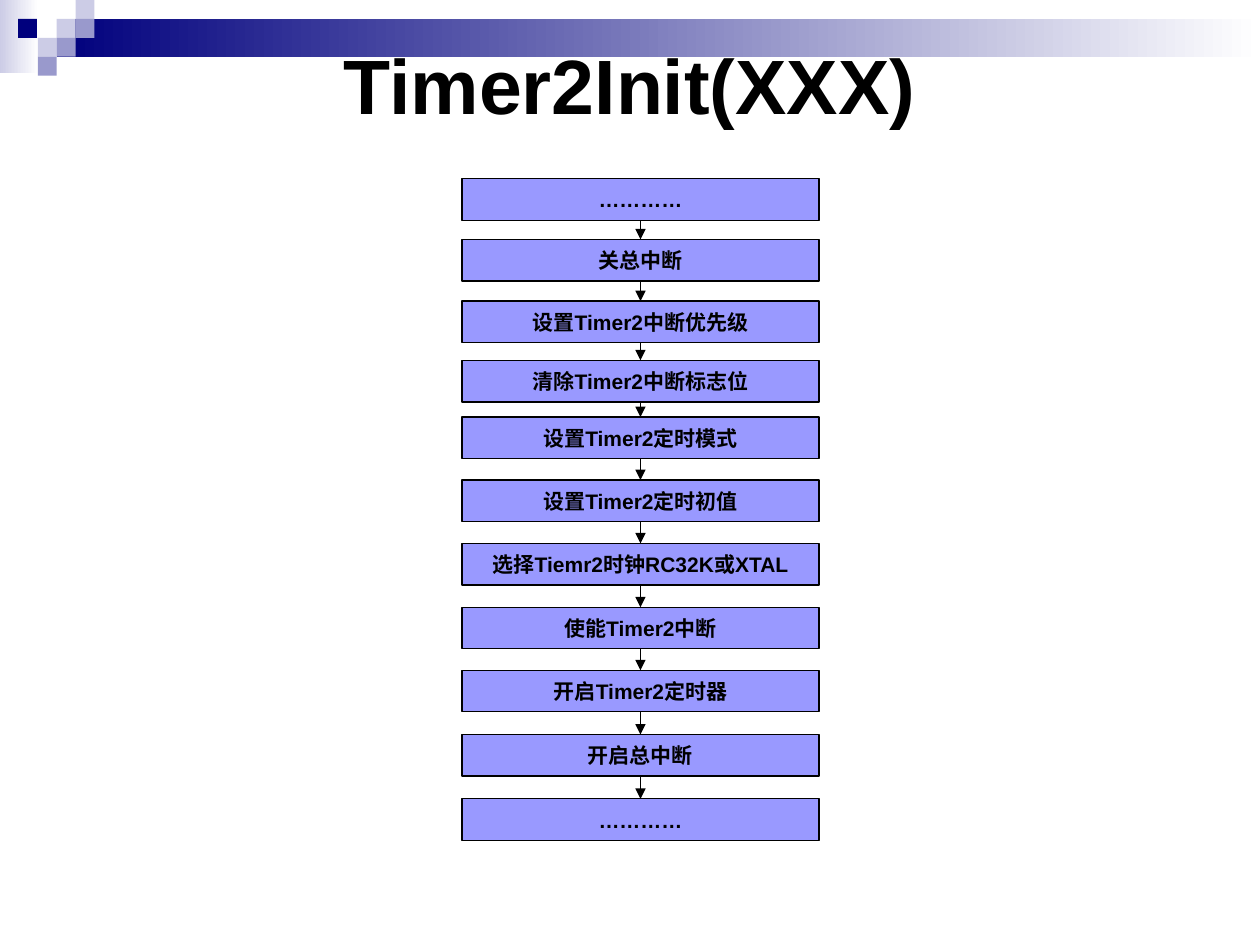
from itertools import pairwise

from lxml import etree
from pptx import Presentation
from pptx.dml.color import RGBColor
from pptx.enum.shapes import MSO_CONNECTOR, MSO_SHAPE
from pptx.enum.text import MSO_ANCHOR, PP_ALIGN
from pptx.oxml.ns import qn
from pptx.util import Pt

RECTANGLE = MSO_SHAPE.RECTANGLE
STRAIGHT = MSO_CONNECTOR.STRAIGHT
MIDDLE = MSO_ANCHOR.MIDDLE
CENTER = PP_ALIGN.CENTER

NAVY, PALE, LILAC = "00007D", "CCCCE6", "9999CC"
STEP_FILL, BLACK, WHITE = "9999FF", "000000", "FFFFFF"

BOX_LEFT, BOX_WIDTH, BOX_HEIGHT = 264, 204, 23.8
ARROW_X = 366
LINE_WIDTH = 0.75

STEPS = [
    (102.2, "…………"),
    (136.8, "关总中断"),
    (172.1, "设置Timer2中断优先级"),
    (205.9, "清除Timer2中断标志位"),
    (238.3, "设置Timer2定时模式"),
    (274.3, "设置Timer2定时初值"),
    (310.5, "选择Tiemr2时钟RC32K或XTAL"),
    (347, "使能Timer2中断"),
    (383, "开启Timer2定时器"),
    (419.7, "开启总中断"),
    (456.5, "…………"),
]

SQUARE = 10.8
SQUARES = [
    (32.4, 10.8, PALE),
    (43.2, 0, PALE),
    (43.2, 10.8, LILAC),
    (21.6, 21.6, PALE),
    (10.3, 10.8, NAVY),
    (32.4, 21.6, LILAC),
    (21.6, 32.4, LILAC),
]


def color(hex_string):
    return RGBColor.from_string(hex_string)


def add_rectangle(page, left, top, width, height):
    box = page.shapes.add_shape(RECTANGLE, Pt(left), Pt(top), Pt(width), Pt(height))
    box.shadow.inherit = False
    box.line.fill.background()
    return box


def fill_solid(box, hex_string):
    box.fill.solid()
    box.fill.fore_color.rgb = color(hex_string)


def fill_fade(box, start):
    """Fade from the start colour on the left to white on the right."""
    box.fill.gradient()
    box.fill.gradient_angle = 0
    for stop, hex_string in zip(box.fill.gradient_stops, (start, WHITE)):
        stop.color.rgb = color(hex_string)


def set_line(shape):
    shape.line.color.rgb = color(BLACK)
    shape.line.width = Pt(LINE_WIDTH)


def set_text(box, text, size, wrap):
    frame = box.text_frame
    frame.word_wrap = wrap
    frame.vertical_anchor = MIDDLE
    para = frame.paragraphs[0]
    para.alignment = CENTER
    span = para.add_run()
    span.text = text
    font_format = {"name": "Arial", "size": Pt(size), "bold": True}
    for name, value in font_format.items():
        setattr(span.font, name, value)
    span.font.color.rgb = color(BLACK)


def add_header(page):
    fill_fade(add_rectangle(page, 0, 0, 22, 41.8), PALE)
    fill_fade(add_rectangle(page, 32.4, 10.8, 687.6, 21.6), NAVY)
    for left, top, fill in SQUARES:
        fill_solid(add_rectangle(page, left, top, SQUARE, SQUARE), fill)


def add_title(page, text):
    box = page.shapes.add_textbox(Pt(36), Pt(36), Pt(648), Pt(24))
    set_text(box, text, 44, True)


def add_step(page, top, text):
    box = add_rectangle(page, BOX_LEFT, top, BOX_WIDTH, BOX_HEIGHT)
    fill_solid(box, STEP_FILL)
    set_line(box)
    set_text(box, text, 12, False)


def add_arrow(page, top, bottom):
    arrow = page.shapes.add_connector(
        STRAIGHT, Pt(ARROW_X), Pt(top), Pt(ARROW_X), Pt(bottom)
    )
    set_line(arrow)
    etree.SubElement(arrow.line._get_or_add_ln(), qn("a:tailEnd"), type="triangle")
    etree.SubElement(arrow._element.spPr, qn("a:effectLst"))


def main():
    deck = Presentation()
    deck.slide_width, deck.slide_height = Pt(720), Pt(540)
    page = deck.slides.add_slide(deck.slide_layouts[6])
    add_header(page)
    add_title(page, "Timer2Init(XXX)")
    for top, text in STEPS:
        add_step(page, top, text)
    for (top, _), (next_top, _) in pairwise(STEPS):
        add_arrow(page, top + BOX_HEIGHT, next_top)
    deck.save("out.pptx")


if __name__ == "__main__":
    main()
